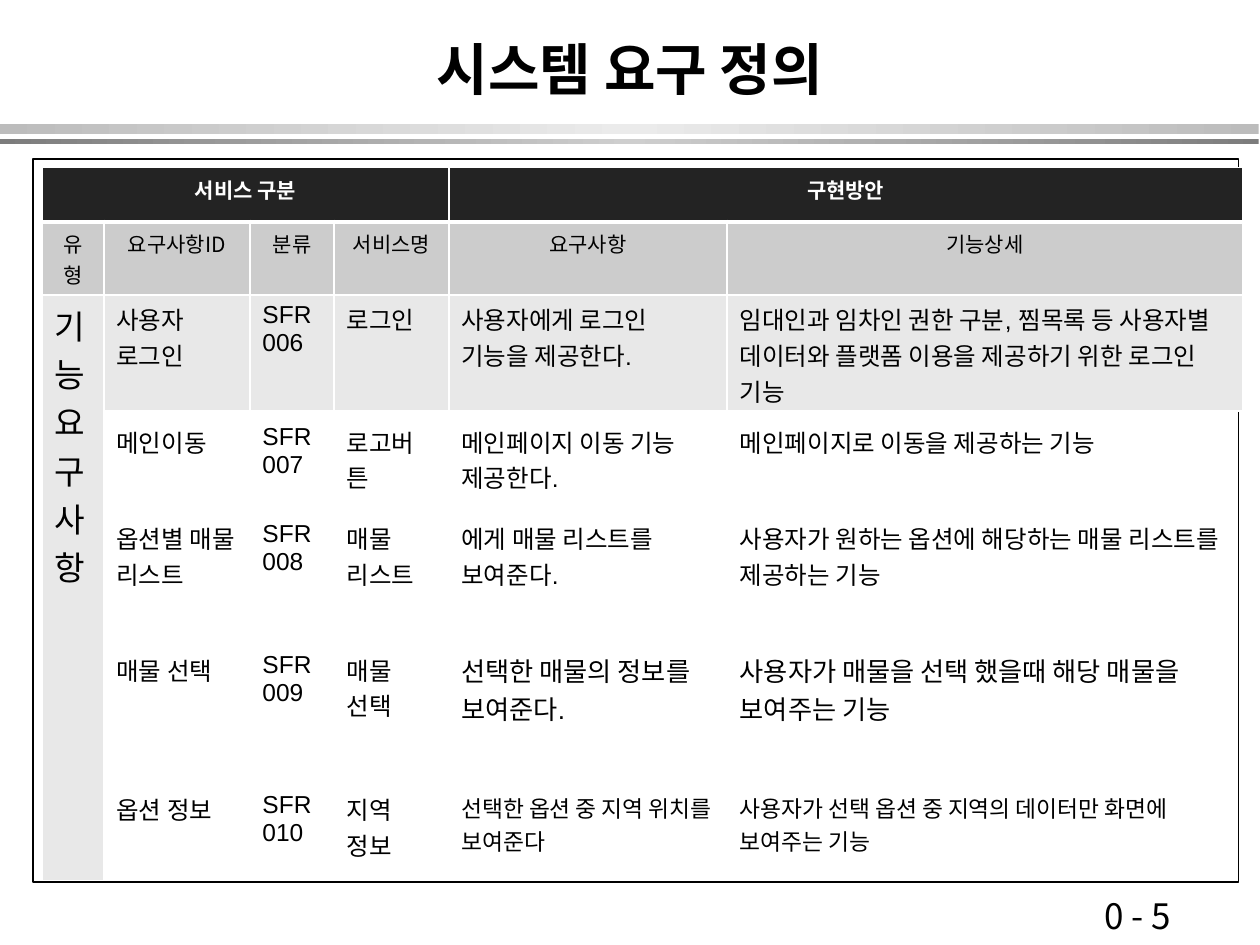
from copy import deepcopy
from dataclasses import dataclass

from lxml import etree
from pptx import Presentation
from pptx.dml.color import RGBColor
from pptx.enum.shapes import MSO_SHAPE
from pptx.enum.text import MSO_ANCHOR, PP_ALIGN
from pptx.oxml.ns import qn
from pptx.util import Pt

RECTANGLE = MSO_SHAPE.RECTANGLE
CENTER, LEFT = PP_ALIGN.CENTER, PP_ALIGN.LEFT
MIDDLE = MSO_ANCHOR.MIDDLE

BLACK = RGBColor(0x00, 0x00, 0x00)
WHITE = RGBColor(0xFF, 0xFF, 0xFF)
HEADER_FILL = RGBColor(0x23, 0x23, 0x23)
SUBHEAD_FILL = RGBColor(0xCC, 0xCC, 0xCC)
ROW_FILL = RGBColor(0xE8, 0xE8, 0xE8)
PALE_EDGE = RGBColor(0xBC, 0xBC, 0xBC)
PALE_MIDDLE = RGBColor(0xEB, 0xEB, 0xEB)
DARK_EDGE = RGBColor(0x7C, 0x7C, 0x7C)
DARK_MIDDLE = RGBColor(0xCE, 0xCE, 0xCE)

KOREAN, LATIN = "Noto Sans CJK KR", "Arial"
NO_STYLE = "{2D5ABB26-0587-4C30-8999-92F81FD0307C}"

COLUMN_WIDTHS = [35.3, 83.5, 48.2, 65.5, 159.1, 294.5]
ROW_HEIGHTS = [31, 41.8, 66.2, 55.4, 74.9, 79.9, 58.3]
GROUPS = [(0, 3, "서비스 구분"), (4, 5, "구현방안")]
SUBHEADS = ["유형", "요구사항ID", "분류", "서비스명", "요구사항", "기능상세"]
CATEGORY = "기능요구사항"


@dataclass
class Style:
    size: float
    font: str = KOREAN
    color: RGBColor = BLACK
    bold: bool = False
    align: PP_ALIGN = LEFT


@dataclass
class Band:
    top: float
    height: float
    edge: RGBColor
    middle: RGBColor


@dataclass
class Requirement:
    name: str
    code: str
    service: str
    need: str
    detail: str
    text_style: Style


BODY = Style(14, LATIN)
BANDS = [Band(70.6, 5.8, PALE_EDGE, PALE_MIDDLE),
         Band(79.2, 2.9, DARK_EDGE, DARK_MIDDLE)]
REQUIREMENTS = [
    Requirement("사용자 로그인", "SFR006", "로그인", "사용자에게 로그인 기능을 제공한다.",
                "임대인과 임차인 권한 구분, 찜목록 등 사용자별 데이터와 플랫폼 이용을 제공하기 위한 로그인 기능",
                BODY),
    Requirement("메인이동", "SFR007", "로고버튼", "메인페이지 이동 기능 제공한다.",
                "메인페이지로 이동을 제공하는 기능", BODY),
    Requirement("옵션별 매물 리스트", "SFR008", "매물 리스트", "에게 매물 리스트를 보여준다.",
                "사용자가 원하는 옵션에 해당하는 매물 리스트를 제공하는 기능", BODY),
    Requirement("매물 선택", "SFR009", "매물 선택", "선택한 매물의 정보를 보여준다.",
                "사용자가 매물을 선택 했을때 해당 매물을 보여주는 기능", Style(15, LATIN)),
    Requirement("옵션 정보", "SFR010", "지역 정보", "선택한 옵션 중 지역 위치를 보여준다",
                "사용자가 선택 옵션 중 지역의 데이터만 화면에 보여주는 기능", Style(13)),
]


def write(text_frame, text: str, style: Style) -> None:
    text_frame.text = text
    para = text_frame.paragraphs[0]
    para.alignment = style.align
    span = para.runs[0]
    span.font.size = Pt(style.size)
    span.font.name = style.font
    span.font.bold = style.bold
    span.font.color.rgb = style.color
    east_asian = etree.SubElement(span.font._element, qn("a:ea"))
    east_asian.set("typeface", KOREAN)


def add_rectangle(page, left: float, top: float, width: float, height: float):
    box = page.shapes.add_shape(RECTANGLE, Pt(left), Pt(top), Pt(width), Pt(height))
    box.shadow.inherit = False
    return box


def add_band(page, band: Band) -> None:
    box = add_rectangle(page, 0, band.top, 719.3, band.height)
    box.line.fill.background()
    box.fill.gradient()
    box.fill.gradient_angle = 0
    stop_list = box._element.spPr.find(".//" + qn("a:gsLst"))
    stop_list.append(deepcopy(stop_list[0]))
    colors = (band.edge, band.middle, band.edge)
    for index, (stop, color) in enumerate(zip(box.fill.gradient_stops, colors)):
        stop.position = index / 2
        stop.color.rgb = color


def set_borders(cell, **widths: float) -> None:
    """Add white borders; sides are named L, R, T and B."""
    properties = cell._tc.get_or_add_tcPr()
    sides = [side for side in "LRTB" if side in widths]
    for position, side in enumerate(sides):
        line = etree.Element(qn("a:ln" + side), w=str(Pt(widths[side])))
        fill = etree.SubElement(line, qn("a:solidFill"))
        etree.SubElement(fill, qn("a:srgbClr"), val=str(WHITE))
        properties.insert(position, line)


def fill_cell(cell, color: RGBColor) -> None:
    cell.fill.solid()
    cell.fill.fore_color.rgb = color


def add_requirement_table(page) -> None:
    frame = page.shapes.add_table(len(ROW_HEIGHTS), len(COLUMN_WIDTHS), Pt(24), Pt(95.8),
                                  Pt(sum(COLUMN_WIDTHS)), Pt(sum(ROW_HEIGHTS)))
    table = frame.table
    table.first_row = table.horz_banding = False
    table._tbl.tblPr.find(qn("a:tableStyleId")).text = NO_STYLE
    for column, width in zip(table.columns, COLUMN_WIDTHS):
        column.width = Pt(width)
    for row, height in zip(table.rows, ROW_HEIGHTS):
        row.height = Pt(height)

    # Header rows
    for first, last, label in GROUPS:
        table.cell(0, first).merge(table.cell(0, last))
        write(table.cell(0, first).text_frame, label,
              Style(12, color=WHITE, bold=True, align=CENTER))
    for index, label in enumerate(SUBHEADS):
        group_cell, cell = table.cell(0, index), table.cell(1, index)
        fill_cell(group_cell, HEADER_FILL)
        set_borders(group_cell, L=1, R=1, T=1, B=3)
        write(cell.text_frame, label, Style(12, align=CENTER))
        fill_cell(cell, SUBHEAD_FILL)
        set_borders(cell, L=1, R=1, T=3, B=1)

    # Category column
    last_row = len(ROW_HEIGHTS) - 1
    table.cell(2, 0).merge(table.cell(last_row, 0))
    write(table.cell(2, 0).text_frame, CATEGORY, Style(19))
    for row in range(2, last_row + 1):
        fill_cell(table.cell(row, 0), ROW_FILL)
        set_borders(table.cell(row, 0), L=1, R=1, T=1, B=1)

    # Requirements, the first one shaded
    for row, item in enumerate(REQUIREMENTS, start=2):
        texts = [(item.name, BODY), (item.code, BODY), (item.service, BODY),
                 (item.need, item.text_style), (item.detail, item.text_style)]
        for column, (text, style) in enumerate(texts, start=1):
            cell = table.cell(row, column)
            write(cell.text_frame, text, style)
            if row == 2:
                fill_cell(cell, ROW_FILL)
                set_borders(cell, L=1, R=1, T=1)
            else:
                cell.fill.background()
                cell.margin_top = cell.margin_bottom = Pt(7.2)


def main() -> None:
    deck = Presentation()
    deck.slide_width, deck.slide_height = Pt(720), Pt(540)
    page = deck.slides.add_slide(deck.slide_layouts[5])

    # Title
    title = page.shapes.title
    title.left, title.top, title.width, title.height = Pt(54), Pt(12.2), Pt(612), Pt(54)
    title.text_frame.vertical_anchor = MIDDLE
    write(title.text_frame, "시스템 요구 정의", Style(32, bold=True, align=CENTER))

    # Bands and frame
    for band in BANDS:
        add_band(page, band)
    border = add_rectangle(page, 18.7, 90.7, 689, 413.3)
    border.fill.background()
    border.line.color.rgb = BLACK
    border.line.width = Pt(1)

    # Page number
    number = page.shapes.add_textbox(Pt(624.2), Pt(507.6), Pt(84.2), Pt(56.2))
    number.text_frame.word_wrap = True
    write(number.text_frame, "0 - 5", Style(20))

    add_requirement_table(page)
    deck.save("out.pptx")


if __name__ == "__main__":
    main()
